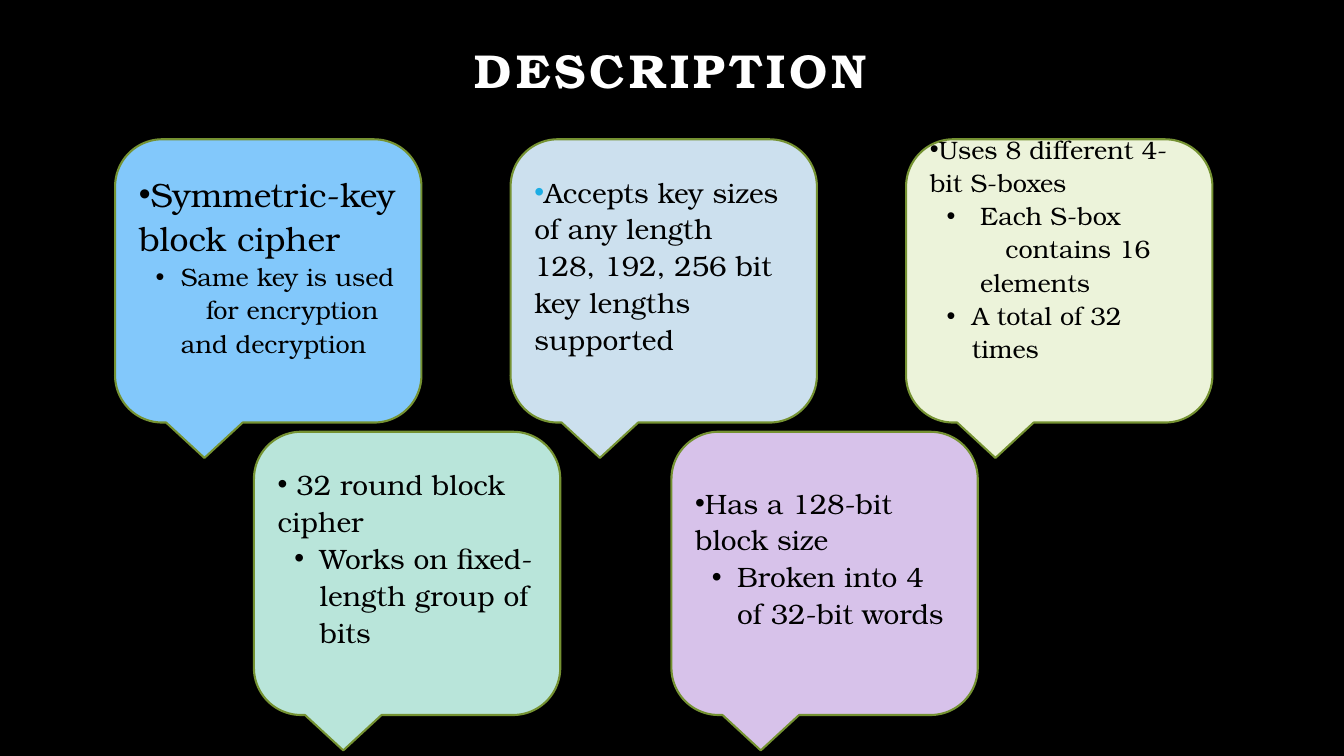
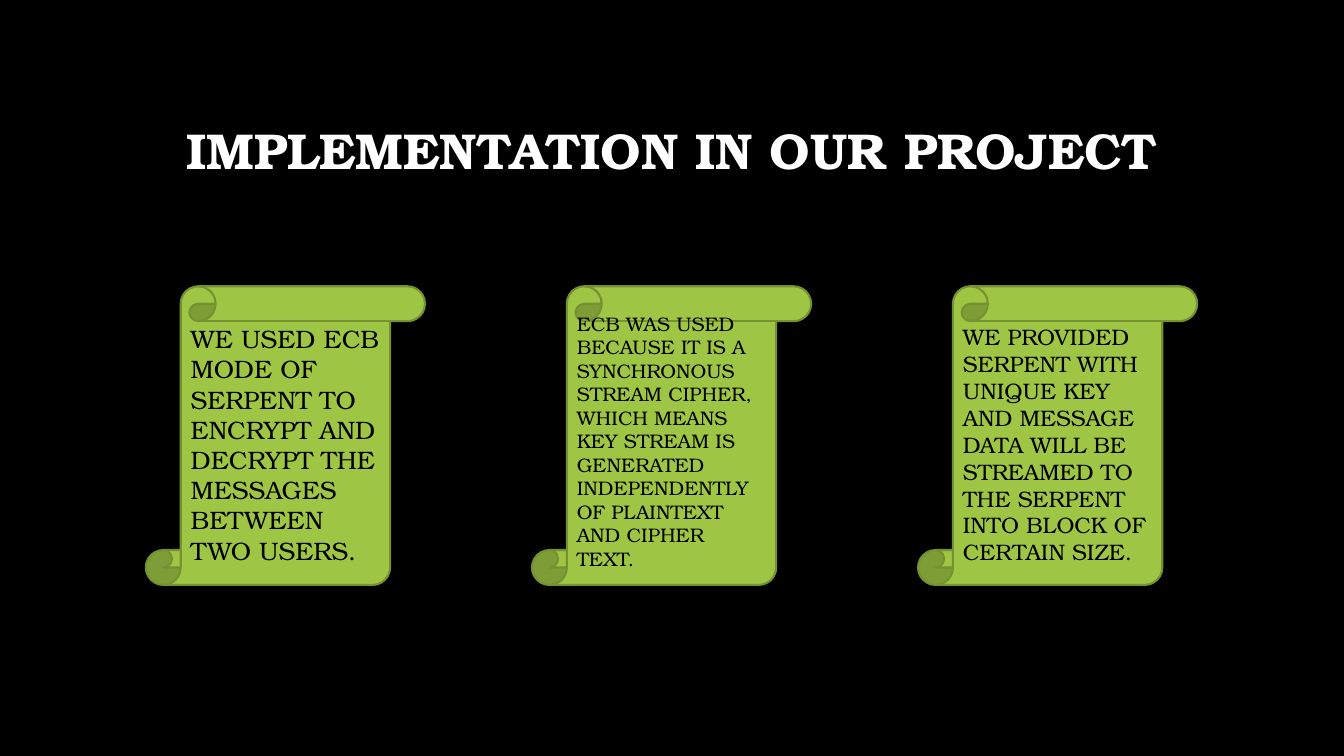
from dataclasses import dataclass

from lxml import etree
from pptx import Presentation
from pptx.dml.color import RGBColor as Rgb
from pptx.enum import shapes, text
from pptx.oxml import ns
from pptx.util import Pt


# Theme: colours, font and type sizes
@dataclass(frozen=True)
class Theme:
    font: str = "TeX Gyre Bonum"
    back: str = "000000"
    ink: str = "000000"
    head: str = "FFFFFF"
    edge: str = "759232"
    scroll: str = "9EC544"
    blue: str = "82C8FB"
    pale: str = "CCE0EE"
    lime: str = "ECF3DA"
    mint: str = "B9E5DA"
    lilac: str = "D7C2EA"
    cyan: str = "1CADE4"
    title: int = 36
    small: int = 34
    huge: int = 24
    large: int = 20
    body: int = 18
    note: int = 16
    tiny: int = 14


T = Theme()


# One line of text: margin and first-line indent in points
@dataclass(frozen=True)
class Line:
    words: str
    size: int
    left: float = 0
    first: float = 0
    mark: str = T.ink  # bullet colour, or empty for no bullet
    level: int = 0


def sub(words, size, left=30, first=-18, mark=T.ink):
    return Line(words, size, left, first, mark, 1)


# Text
def style(para, size, color, bold=False):
    for run in para.runs:
        font = run.font
        font.name, font.size, font.bold = T.font, Pt(size), bold
        font.color.rgb = Rgb.from_string(color)


def bullet(para, line):
    props = para._p.get_or_add_pPr()
    props.set("marL", str(Pt(line.left)))
    props.set("indent", str(Pt(line.first)))

    def add(parent, tag, **attrs):
        return etree.SubElement(parent, ns.qn(tag), **attrs)

    if line.mark:
        add(add(props, "a:buClr"), "a:srgbClr", val=line.mark)
        add(props, "a:buFont", typeface="Arial")
        add(props, "a:buChar", char="•")
    else:
        add(props, "a:buNone")


def write(frame, lines, space):
    for i, line in enumerate(lines):
        para = frame.add_paragraph() if i else frame.paragraphs[0]
        para.text = line.words
        para.level = line.level
        bullet(para, line)
        para.alignment = text.PP_ALIGN.LEFT
        para.line_spacing = space
        style(para, line.size, T.ink)


# Slide with a title
def page(deck, words, box, size, track=0):
    slide = deck.slides.add_slide(deck.slide_layouts[5])
    title = slide.shapes.title
    title.left, title.top, title.width, title.height = map(Pt, box)
    frame = title.text_frame
    frame.text = words
    frame.auto_size = text.MSO_AUTO_SIZE.NONE
    frame.vertical_anchor = text.MSO_ANCHOR.MIDDLE
    para = frame.paragraphs[0]
    para.alignment = text.PP_ALIGN.CENTER
    para.line_spacing = 0.9
    style(para, size, T.head, True)
    if track:
        para.runs[0].font._element.set("spc", str(track * 100))
    return slide


# Filled shape with text; lift raises the centred text
def panel(slide, kind, box, fill, lines, space=1.0, lift=0):
    shape = slide.shapes.add_shape(kind, *map(Pt, box))
    shape.shadow.inherit = False
    shape.fill.solid()
    shape.fill.fore_color.rgb = Rgb.from_string(fill)
    shape.line.color.rgb = Rgb.from_string(T.edge)
    shape.line.width = Pt(1.5)
    frame = shape.text_frame
    frame.word_wrap = True
    frame.vertical_anchor = text.MSO_ANCHOR.MIDDLE
    frame.margin_bottom = Pt(3.6 + lift)
    write(frame, lines, space)


def facts(deck):
    slide = page(deck, "DESCRIPTION", (4.3, -6.5, 950.4, 117.4), T.small, 3)
    # Callouts: fill, lift, lines
    upper = [
        (T.blue, 24, [
            Line("Symmetric-key block cipher", T.huge),
            sub("Same key is used", T.body),
            sub("for encryption and decryption", T.body, 30, 18, "")]),
        (T.pale, 24, [
            Line("Accepts key sizes of any length", T.large, mark=T.cyan),
            Line("128, 192, 256 bit key lengths supported", T.large, mark="")]),
        (T.lime, 48, [
            Line("Uses 8 different 4-bit S-boxes", T.body),
            sub("Each S-box", T.body, 36, -24),
            sub("contains 16 elements", T.body, 36, 18, ""),
            sub("A total of 32 times", T.body)]),
    ]
    lower = [
        (T.mint, 24, [
            Line(" 32 round block cipher", T.large),
            sub("Works on fixed-length group of bits", T.large)]),
        (T.lilac, 24, [
            Line("Has a 128-bit block size", T.large),
            sub("Broken into 4 of 32-bit words", T.large)]),
    ]
    kind = shapes.MSO_SHAPE.ROUNDED_RECTANGULAR_CALLOUT
    # Rows: left, top, step, cards
    rows = [(82.2, 99.5, 282.5, upper), (181.4, 308.4, 298.2, lower)]
    for left, top, step, cards in rows:
        for i, (fill, lift, lines) in enumerate(cards):
            box = (left + i * step, top, 218.8, 202.3)
            panel(slide, kind, box, fill, lines, 1.1, lift)


def usage(deck):
    slide = page(deck, "IMPLEMENTATION IN OUR PROJECT",
                 (104.4, 56.9, 751, 104.4), T.title)
    # Scrolls: words, size, lift
    scrolls = [
        ("WE USED ECB MODE OF SERPENT TO ENCRYPT AND DECRYPT THE MESSAGES "
         "BETWEEN TWO USERS.", T.body, 0),
        ("ECB WAS USED BECAUSE IT IS A SYNCHRONOUS STREAM CIPHER, WHICH MEANS "
         "KEY STREAM IS GENERATED INDEPENDENTLY OF PLAINTEXT AND CIPHER TEXT.",
         T.tiny, 4.8),
        ("WE PROVIDED SERPENT WITH UNIQUE KEY AND MESSAGE DATA WILL BE "
         "STREAMED TO THE SERPENT INTO BLOCK OF CERTAIN SIZE.", T.note, 0),
    ]
    for i, (words, size, lift) in enumerate(scrolls):
        box = (104.2 + i * 275.8, 204.5, 199.4, 213.3)
        panel(slide, shapes.MSO_SHAPE.VERTICAL_SCROLL, box, T.scroll,
              [Line(words, size, mark="")], lift=lift)


def main():
    deck = Presentation()
    deck.slide_width, deck.slide_height = Pt(960), Pt(540)
    # Shared background
    fill = deck.slide_master.background.fill
    fill.solid()
    fill.fore_color.rgb = Rgb.from_string(T.back)
    facts(deck)
    usage(deck)
    deck.save("out.pptx")


if __name__ == "__main__":
    main()
